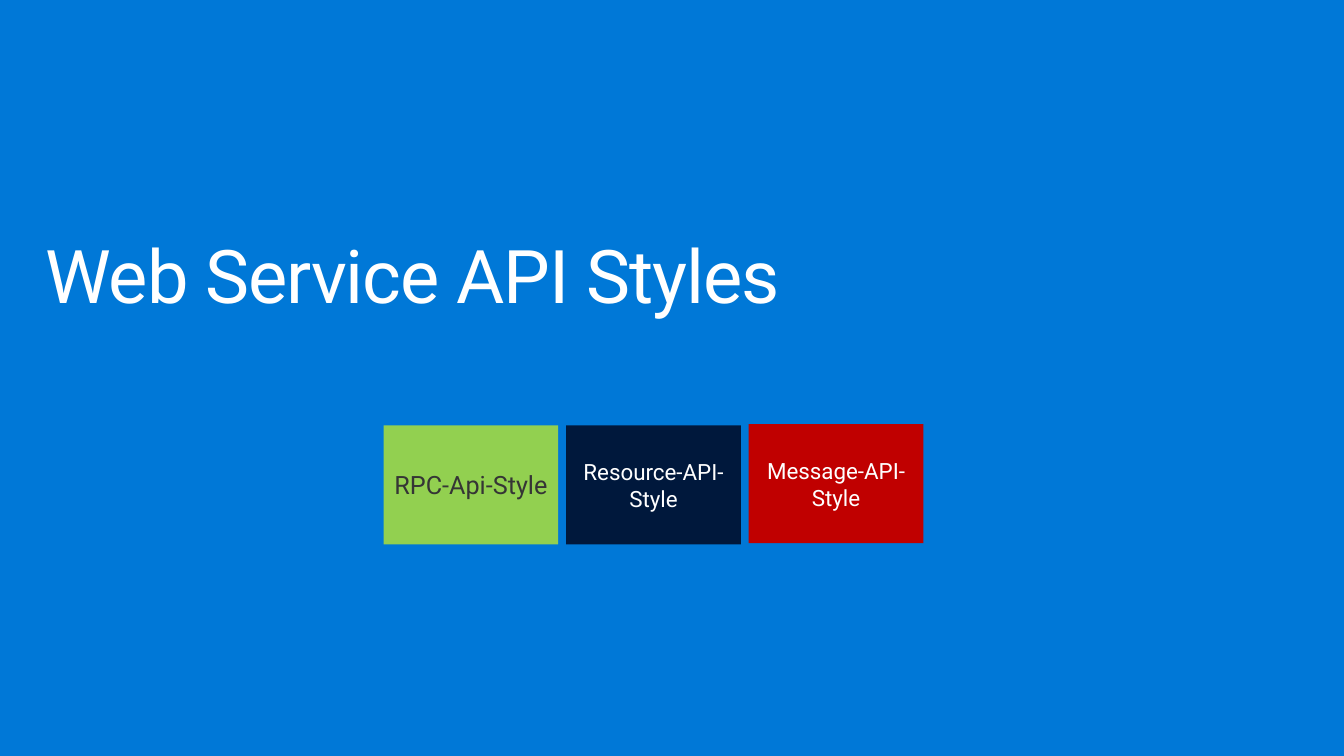
"""Build the section slide on web service API styles."""
from dataclasses import dataclass

import pptx
import pptx.dml.color
import pptx.enum.shapes
import pptx.enum.text
import pptx.util

Cm = pptx.util.Cm
Pt = pptx.util.Pt


@dataclass(frozen=True)
class Theme:
    font: str = "Roboto"
    background: str = "0078D7"
    light: str = "FFFFFF"
    dark: str = "353535"
    rpc: str = "92D050"
    resource: str = "00183C"
    message: str = "C00000"
    title_size: float = 52.9
    large_label: float = 18
    label: float = 16


THEME = Theme()


def rgb(code):
    return pptx.dml.color.RGBColor.from_string(code)


def add_run(paragraph, text, size, color):
    run = paragraph.add_run()
    run.text = text
    run.font.name = THEME.font
    run.font.size = Pt(size)
    run.font.color.rgb = rgb(color)
    return run


def add_title(slide, text):
    title = slide.shapes.add_textbox(Cm(0.74), Cm(5.79), Cm(27.38), Cm(2.54))
    frame = title.text_frame
    frame.word_wrap = True
    frame.margin_left = frame.margin_right = Cm(0.4)
    frame.margin_top = frame.margin_bottom = Cm(0.25)
    heading = frame.paragraphs[0]
    heading.line_spacing = 0.9
    run = add_run(heading, text, THEME.title_size, THEME.light)
    run.font._element.set("spc", "-70")


def add_style_tile(slide, left, top, text, fill, size, color):
    tile = slide.shapes.add_shape(
        pptx.enum.shapes.MSO_SHAPE.RECTANGLE, Cm(left), Cm(top), Cm(4.4), Cm(3)
    )
    tile.shadow.inherit = False
    tile.fill.solid()
    tile.fill.fore_color.rgb = rgb(fill)
    tile.line.fill.background()
    frame = tile.text_frame
    frame.word_wrap = True
    frame.vertical_anchor = pptx.enum.text.MSO_ANCHOR.MIDDLE
    label = frame.paragraphs[0]
    label.alignment = pptx.enum.text.PP_ALIGN.CENTER
    add_run(label, text, size, color)


def main():
    deck = pptx.Presentation()
    deck.slide_width, deck.slide_height = Cm(33.87), Cm(19.05)
    slide = deck.slides.add_slide(deck.slide_layouts[6])
    slide.background.fill.solid()
    slide.background.fill.fore_color.rgb = rgb(THEME.background)

    add_title(slide, "Web Service API Styles")
    api_styles = [
        (10.72, "RPC-Api-Style", THEME.rpc, THEME.large_label, THEME.dark),
        (10.72, "Resource-API-Style", THEME.resource, THEME.label, THEME.light),
        (10.69, "Message-API-Style", THEME.message, THEME.label, THEME.light),
    ]
    for column, api_style in enumerate(api_styles):
        add_style_tile(slide, 9.67 + 4.6 * column, *api_style)

    deck.save("out.pptx")


if __name__ == "__main__":
    main()
